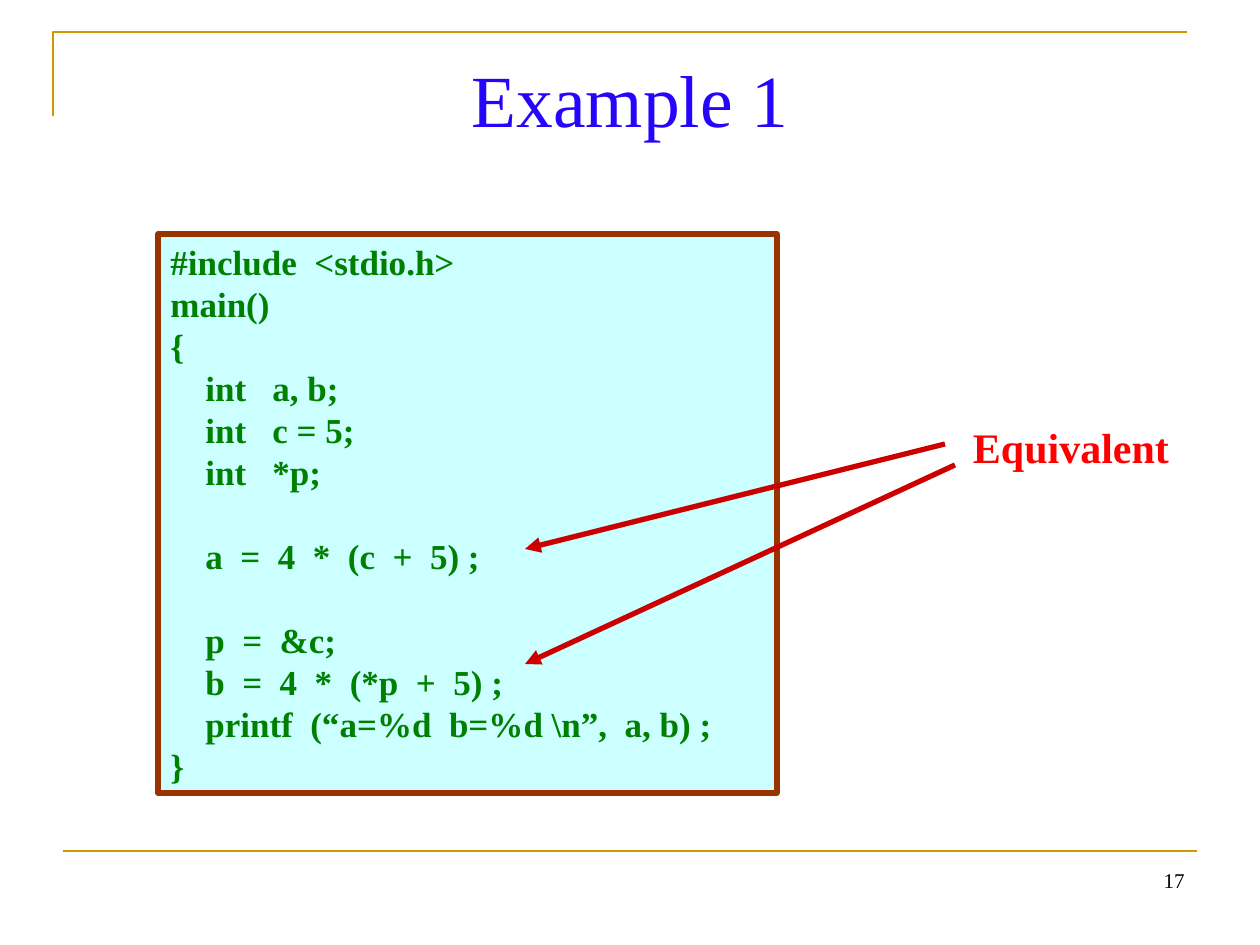
"""Build the pointer example slide: a code box with two equivalent lines marked."""
from pptx import Presentation
from pptx.dml.color import RGBColor
from pptx.enum.shapes import MSO_CONNECTOR, MSO_SHAPE
from pptx.enum.text import MSO_ANCHOR, PP_ALIGN
from pptx.oxml.ns import qn
from pptx.util import Pt
from lxml import etree

STRAIGHT, RECTANGLE = MSO_CONNECTOR.STRAIGHT, MSO_SHAPE.RECTANGLE
TOP = MSO_ANCHOR.TOP
LEFT, CENTER, RIGHT = PP_ALIGN.LEFT, PP_ALIGN.CENTER, PP_ALIGN.RIGHT

SCALE = 914400 // 126
FONT = "Times New Roman"
BLUE = RGBColor(0x27, 0x04, 0xFC)
BLACK = RGBColor(0, 0, 0)
GOLD = RGBColor(0xCC, 0x99, 0x00)
CYAN = RGBColor(0xCC, 0xFF, 0xFF)
BROWN = RGBColor(0x99, 0x33, 0x00)
GREEN = RGBColor(0x00, 0x80, 0x00)
RED = RGBColor(0xFF, 0, 0)
DARK_RED = RGBColor(0xCC, 0, 0)

TITLE = "Example 1"
PAGE_NUMBER = "17"
LABEL = "Equivalent"
LINE_PITCH = Pt(24)
CODE_BLOCKS = [
    ["#include  <stdio.h>", "main()", "{",
     "    int   a, b;", "    int   c = 5;", "    int   *p;"],
    ["    a  =  4  *  (c  +  5) ;"],
    ["    p  =  &c;", "    b  =  4  *  (*p  +  5) ;",
     "    printf  (“a=%d  b=%d \\n”,  a, b) ;", "}"],
]
CORNER = [(53, 116), (53, 32), (1187, 32)]
FOOTER_LINE = (63, 851, 1197, 851)
ARROWS = [(945, 444, 525, 549), (955, 465, 525, 664)]


def px(*values):
    return [value * SCALE for value in values]


def write(para, text, size, color, align=LEFT, bold=False):
    para.alignment = align
    span = para.add_run()
    span.text = text
    font = span.font
    font.name, font.size, font.bold = FONT, Pt(size), bold
    font.color.rgb = color


def set_line(shape, color, width):
    shape.line.color.rgb = color
    shape.line.width = Pt(width)


def add_text(shapes, bounds, text, size, color, align, bold=False):
    box = shapes.add_textbox(*px(*bounds))
    box.text_frame.word_wrap = True
    write(box.text_frame.paragraphs[0], text, size, color, align, bold)


def add_line(shapes, ends, color, width, arrow=False):
    line = shapes.add_connector(STRAIGHT, *px(*ends))
    set_line(line, color, width)
    properties = line.element.spPr
    if arrow:
        etree.SubElement(properties.find(qn("a:ln")), qn("a:tailEnd"), type="triangle")
    etree.SubElement(properties, qn("a:effectLst"))


def add_frame(page):
    builder = page.shapes.build_freeform(*px(*CORNER[0]))
    builder.add_line_segments([px(*point) for point in CORNER[1:]], close=False)
    corner = builder.convert_to_shape()
    corner.fill.background()
    corner.shadow.inherit = False
    set_line(corner, GOLD, 1.5)
    add_line(page.shapes, FOOTER_LINE, GOLD, 1.5)


def add_title(page):
    title = page.shapes.title
    title.left, title.top, title.width, title.height = px(63, 38, 1134, 157)
    frame = title.text_frame
    frame.vertical_anchor = TOP
    frame.margin_top = 16 * SCALE
    write(frame.paragraphs[0], TITLE, 42, BLUE, CENTER)


def add_code(page):
    box = page.shapes.add_shape(RECTANGLE, *px(158, 234, 619, 559))
    box.shadow.inherit = False
    box.fill.solid()
    box.fill.fore_color.rgb = CYAN
    set_line(box, BROWN, 3)
    frame = box.text_frame
    frame.word_wrap = True
    frame.vertical_anchor = TOP
    para = frame.paragraphs[0]
    for block_index, block in enumerate(CODE_BLOCKS):
        for line_index, text in enumerate(block):
            if block_index or line_index:
                para = frame.add_paragraph()
            para.line_spacing = LINE_PITCH
            if block_index and not line_index:
                para.space_before = LINE_PITCH
            write(para, text, 20, GREEN, bold=True)


def main():
    deck = Presentation()
    deck.slide_width, deck.slide_height = px(1260, 945)
    page = deck.slides.add_slide(deck.slide_layouts[5])
    add_frame(page)
    add_title(page)
    add_text(page.shapes, (903, 861, 294, 65), PAGE_NUMBER, 12, BLACK, RIGHT)
    add_code(page)
    callout = page.shapes.add_group_shape()
    add_text(callout.shapes, (924, 415, 294, 63), LABEL, 24, RED, CENTER, True)
    for ends in ARROWS:
        add_line(callout.shapes, ends, DARK_RED, 3, arrow=True)
    deck.save("out.pptx")


if __name__ == "__main__":
    main()
